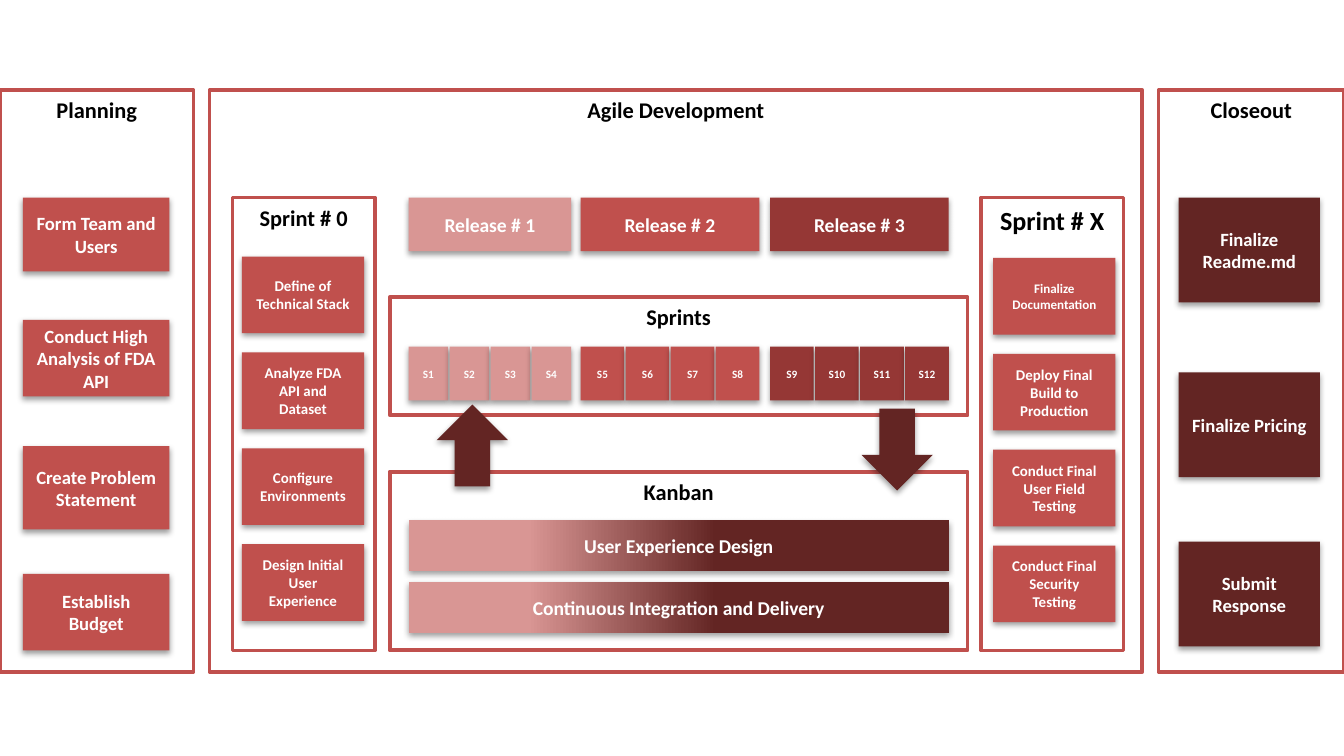
import pptx
import pptx.util
import pptx.dml.color
import pptx.enum.shapes
import pptx.enum.text
import pptx.oxml
import pptx.oxml.ns

Inches = pptx.util.Inches
Pt = pptx.util.Pt
RGBColor = pptx.dml.color.RGBColor
MSO_SHAPE = pptx.enum.shapes.MSO_SHAPE
MSO_ANCHOR = pptx.enum.text.MSO_ANCHOR
PP_ALIGN = pptx.enum.text.PP_ALIGN
qn = pptx.oxml.ns.qn

BLACK = RGBColor(0x00, 0x00, 0x00)
WHITE = RGBColor(0xFF, 0xFF, 0xFF)
PINK = RGBColor(0xD9, 0x96, 0x94)
RED = RGBColor(0xC0, 0x50, 0x4D)
DARK_RED = RGBColor(0x95, 0x37, 0x35)
MAROON = RGBColor(0x63, 0x25, 0x23)

SHADOW = (
    '<a:outerShdw xmlns:a="http://schemas.openxmlformats.org/drawingml/2006/main" '
    'blurRad="40000" dist="20000" dir="5400000" rotWithShape="0">'
    '<a:srgbClr val="000000"><a:alpha val="38000"/></a:srgbClr></a:outerShdw>'
)

prs = pptx.Presentation()
prs.slide_width = Inches(10)
prs.slide_height = Inches(10 * 9 / 16)
slide = prs.slides.add_slide(prs.slide_layouts[6])


def add_box(x, y, w, h, text, size, fill=None, kind=MSO_SHAPE.RECTANGLE, inset=0.09):
    sp = slide.shapes.add_shape(kind, Inches(x), Inches(y), Inches(w), Inches(h))
    sp.shadow.inherit = False
    tf = sp.text_frame
    tf.word_wrap = True
    tf.margin_left = tf.margin_right = Inches(inset)
    if fill is None:
        sp.fill.background()
        sp.line.color.rgb = RED
        sp.line.width = Pt(2)
        tf.vertical_anchor = MSO_ANCHOR.TOP
    else:
        sp.fill.solid()
        sp.fill.fore_color.rgb = fill
        sp.line.fill.background()
        tf.vertical_anchor = MSO_ANCHOR.MIDDLE
        effects = sp._element.spPr.find(qn("a:effectLst"))
        effects.append(pptx.oxml.parse_xml(SHADOW))
    if text:
        p = tf.paragraphs[0]
        p.text = text
        p.alignment = PP_ALIGN.CENTER
        p.font.name = "Calibri"
        p.font.size = Pt(size)
        p.font.bold = True
        p.font.color.rgb = BLACK if fill is None else WHITE
    return sp


frames = [
    (0, 0.67, 1.44, 4.33, "Planning", 12),
    (1.56, 0.67, 6.94, 4.33, "Agile Development", 12),
    (8.62, 0.67, 1.38, 4.33, "Closeout", 12),
    (1.73, 1.47, 1.06, 3.37, "Sprint # 0", 12),
    (7.3, 1.47, 1.06, 3.37, "Sprint # X", 14),
    (2.9, 2.21, 4.3, 0.88, "Sprints", 12),
    (2.9, 3.51, 4.3, 1.33, "Kanban", 12),
]
for frame in frames:
    add_box(*frame)

planning = [
    (1.47, 0.55, "Form Team and Users"),
    (2.38, 0.57, "Conduct High Analysis of FDA API"),
    (3.32, 0.62, "Create Problem Statement"),
    (4.27, 0.57, "Establish Budget"),
]
for y, h, text in planning:
    add_box(0.17, y, 1.09, h, text, 10, RED)

closeout = [(1.47, "Finalize Readme.md"), (2.77, "Finalize Pricing"), (4.03, "Submit Response")]
for y, text in closeout:
    add_box(8.77, y, 1.05, 0.78, text, 10, MAROON)

sprint_tasks = [
    (1.8, 1.91, [
        ("Define of Technical Stack", 8),
        ("Analyze FDA API and Dataset", 8),
        ("Configure Environments", 8),
        ("Design Initial User Experience", 8),
    ]),
    (7.39, 1.92, [
        ("Finalize Documentation", 7),
        ("Deploy Final Build to Production", 8),
        ("Conduct Final User Field Testing", 8),
        ("Conduct Final Security Testing", 8),
    ]),
]
pitch = 2.14 / 3
for x, top, tasks in sprint_tasks:
    for i, (text, size) in enumerate(tasks):
        add_box(x, top + i * pitch, 0.91, 0.57, text, size, RED, inset=0.1)

releases = [(3.04, 1.21, PINK), (4.32, 1.33, RED), (5.73, 1.33, DARK_RED)]
gap = 0.01
for i, (x, w, color) in enumerate(releases):
    add_box(x, 1.47, w, 0.4, f"Release # {i + 1}", 10.5, color)
    pitch = (w + gap) / 4
    for j in range(4):
        add_box(x + j * pitch, 2.58, pitch - gap, 0.4, f"S{i * 4 + j + 1}", 6, color, inset=0)

for y, text in [(3.87, "User Experience Design"), (4.33, "Continuous Integration and Delivery")]:
    sp = add_box(3.04, y, 4.02, 0.38, text, 10.5, PINK)
    sp.fill.gradient()
    sp.fill.gradient_angle = 0
    for stop, position, color in zip(sp.fill.gradient_stops, (0.22, 0.57), (PINK, MAROON)):
        stop.position = position
        stop.color.rgb = color

for x, y, rotation in [(3.25, 3.01, 0), (6.41, 3.04, 180)]:
    sp = add_box(x, y, 0.53, 0.61, "", 10, MAROON, MSO_SHAPE.UP_ARROW)
    sp.rotation = rotation

prs.save("out.pptx")
